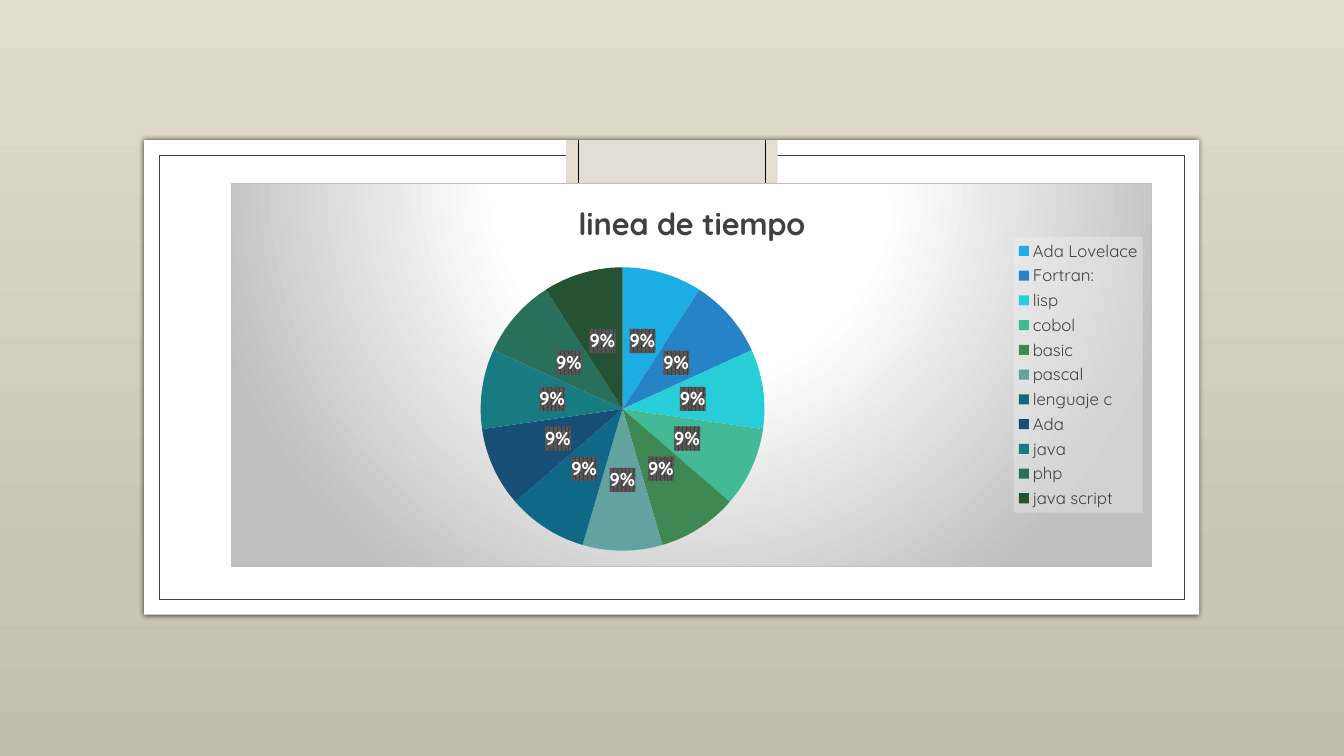
"""Build a slide with a pie chart of programming milestones on a framed card."""
from lxml import etree
from pptx import Presentation
from pptx.chart.data import CategoryChartData
from pptx.dml.color import RGBColor
from pptx.enum.chart import XL_CHART_TYPE, XL_LABEL_POSITION, XL_LEGEND_POSITION
from pptx.enum.shapes import MSO_CONNECTOR, MSO_SHAPE
from pptx.oxml import parse_xml
from pptx.util import Cm, Pt

PIE = XL_CHART_TYPE.PIE
CENTER = XL_LABEL_POSITION.CENTER
RIGHT = XL_LEGEND_POSITION.RIGHT
RECTANGLE = MSO_SHAPE.RECTANGLE
STRAIGHT = MSO_CONNECTOR.STRAIGHT

FONT = "Quicksand"
TITLE = "linea de tiempo"
SHARE = 9
SLICES = [
    ("Ada Lovelace", "1CADE4"),
    ("Fortran:", "2683C6"),
    ("lisp", "27CED7"),
    ("cobol", "42BA97"),
    ("basic", "3E8853"),
    ("pascal", "62A39F"),
    ("lenguaje c", "106889"),
    ("Ada", "174F77"),
    ("java", "177C81"),
    ("php", "28705B"),
    ("java script", "255232"),
]
BACKGROUND_STOPS = [(0, "E2DCCA"), (77, "CAC4B2"), (100, "C2BCAC")]
CHART_STOPS = [(0, "FFFFFF"), (39, "FFFFFF"), (100, "BFBFBF")]
DOWNWARD = '<a:lin ang="5400000" scaled="0"/>'
FROM_TOP = ('<a:path path="circle"><a:fillToRect l="50000" t="-80000" '
            'r="50000" b="180000"/></a:path>')

CARD = (3.63, 3.53, 26.59, 11.96)
FRAME = (4.01, 3.91, 25.83, 11.2)
CLIP = (14.27, 3.53, 5.33, 2.03)
CLIP_LEFT, CLIP_RIGHT, CLIP_TOP, CLIP_BOTTOM = 14.58, 19.28, 3.53, 5.31
CHART = (5.82, 4.6, 23.22, 9.68)
PLOT_AREA = (0.27, 0.22, 0.31, 0.74)
LEGEND_AREA = (0.85, 0.14, 0.14, 0.72)

NAMESPACES = ('xmlns:a="http://schemas.openxmlformats.org/drawingml/2006/main" '
              'xmlns:c="http://schemas.openxmlformats.org/drawingml/2006/chart"')


def color(value):
    return RGBColor.from_string(value)


def element(tag, content="", attributes=""):
    return parse_xml(f"<{tag} {NAMESPACES} {attributes}>{content}</{tag}>")


def color_xml(value, alpha=100):
    return f'<a:srgbClr val="{value}"><a:alpha val="{alpha * 1000}"/></a:srgbClr>'


def gradient(stops, direction):
    stop_list = "".join(f'<a:gs pos="{position * 1000}">{color_xml(value)}</a:gs>'
                        for position, value in stops)
    return element("a:gradFill", f"<a:gsLst>{stop_list}</a:gsLst>{direction}",
                   'rotWithShape="1"')


def layout(area, inner=False):
    target = '<c:layoutTarget val="inner"/>' if inner else ""
    modes = '<c:xMode val="edge"/><c:yMode val="edge"/>'
    sizes = "".join(f'<c:{name} val="{value}"/>' for name, value in zip("xywh", area))
    return element("c:layout", f"<c:manualLayout>{target}{modes}{sizes}</c:manualLayout>")


def style_font(font, size, value, bold=False):
    font.name, font.size, font.bold = FONT, Pt(size), bold
    font.color.rgb = color(value)


def add_rectangle(slide, box, fill=None, line=None):
    shape = slide.shapes.add_shape(RECTANGLE, *map(Cm, box))
    shape.shadow.inherit = False
    if fill:
        shape.fill.solid()
        shape.fill.fore_color.rgb = color(fill)
    else:
        shape.fill.background()
    if line:
        shape.line.color.rgb = color(line)
        shape.line.width = Pt(0.5)
    else:
        shape.line.fill.background()
    return shape


def add_line(slide, *ends):
    line = slide.shapes.add_connector(STRAIGHT, *map(Cm, ends))
    line.line.color.rgb = color("000000")
    line.line.width = Pt(0.5)
    line.element.spPr.append(element("a:effectLst"))


def add_card(slide):
    card = add_rectangle(slide, CARD, fill="FFFFFF")
    shadow = etree.fromstring(
        f'<a:outerShdw {NAMESPACES} blurRad="{Pt(4)}" dist="0" dir="0">'
        f'{color_xml("000000", 66)}</a:outerShdw>')
    card.element.spPr.find("{*}effectLst").append(shadow)
    add_rectangle(slide, FRAME, line="404040")
    add_rectangle(slide, CLIP, fill="E3DED1")
    for x in (CLIP_LEFT, CLIP_RIGHT):
        add_line(slide, x, CLIP_TOP, x, CLIP_BOTTOM)
    add_line(slide, CLIP_LEFT, CLIP_BOTTOM, CLIP_RIGHT, CLIP_BOTTOM)


def add_pie(slide):
    data = CategoryChartData()
    data.categories = [name for name, _ in SLICES]
    data.add_series(TITLE, [SHARE] * len(SLICES))
    chart = slide.shapes.add_chart(PIE, *map(Cm, CHART), data).chart
    style_font(chart.font, 10, "000000")

    chart.has_title = True
    run = chart.chart_title.text_frame.paragraphs[0].add_run()
    run.text = TITLE
    style_font(run.font, 22, "404040", bold=True)

    chart.has_legend = True
    chart.legend.position = RIGHT
    chart.legend.include_in_layout = False
    style_font(chart.legend.font, 12, "404040")

    plot = chart.plots[0]
    plot.vary_by_categories = True
    for index, (_, value) in enumerate(SLICES):
        fill = plot.series[0].points[index].format.fill
        fill.solid()
        fill.fore_color.rgb = color(value)

    plot.has_data_labels = True
    labels = plot.data_labels
    labels.show_value, labels.show_percentage = False, True
    labels.number_format, labels.number_format_is_linked = "0%", False
    labels.position = CENTER
    style_font(labels.font, 13.3, "FFFFFF", bold=True)
    decorate_pie(chart.element)


def decorate_pie(space):
    pattern = (f'<a:pattFill prst="pct75"><a:fgClr>{color_xml("404040")}</a:fgClr>'
               f'<a:bgClr>{color_xml("595959")}</a:bgClr></a:pattFill>')
    veil = f'<a:solidFill>{color_xml("F2F2F2", 39)}</a:solidFill>'
    border = f'<a:ln w="{Pt(0.75)}"><a:solidFill>{color_xml("BFBFBF")}</a:solidFill></a:ln>'
    backdrop = element("c:spPr", border)
    backdrop.insert(0, gradient(CHART_STOPS, FROM_TOP))
    for parent, properties in (
        (space, backdrop),
        (space.find(".//{*}legend"), element("c:spPr", veil)),
        (space.find(".//{*}dLbls"), element("c:spPr", pattern)),
    ):
        parent.find("{*}txPr").addprevious(properties)

    for tag in ("plotArea", "legend"):
        parent = space.find(".//{*}" + tag)
        for old in parent.findall("{*}layout"):
            parent.remove(old)
    space.find(".//{*}plotArea").insert(0, layout(PLOT_AREA, inner=True))
    space.find(".//{*}legendPos").addnext(layout(LEGEND_AREA))


def main():
    presentation = Presentation()
    presentation.slide_width, presentation.slide_height = Cm(33.87), Cm(19.05)
    slide = presentation.slides.add_slide(presentation.slide_layouts[6])
    slide.background.fill.solid()
    solid = slide.element.find(".//{*}bgPr/{*}solidFill")
    solid.getparent().replace(solid, gradient(BACKGROUND_STOPS, DOWNWARD))
    add_card(slide)
    add_pie(slide)
    presentation.save("out.pptx")


if __name__ == "__main__":
    main()
